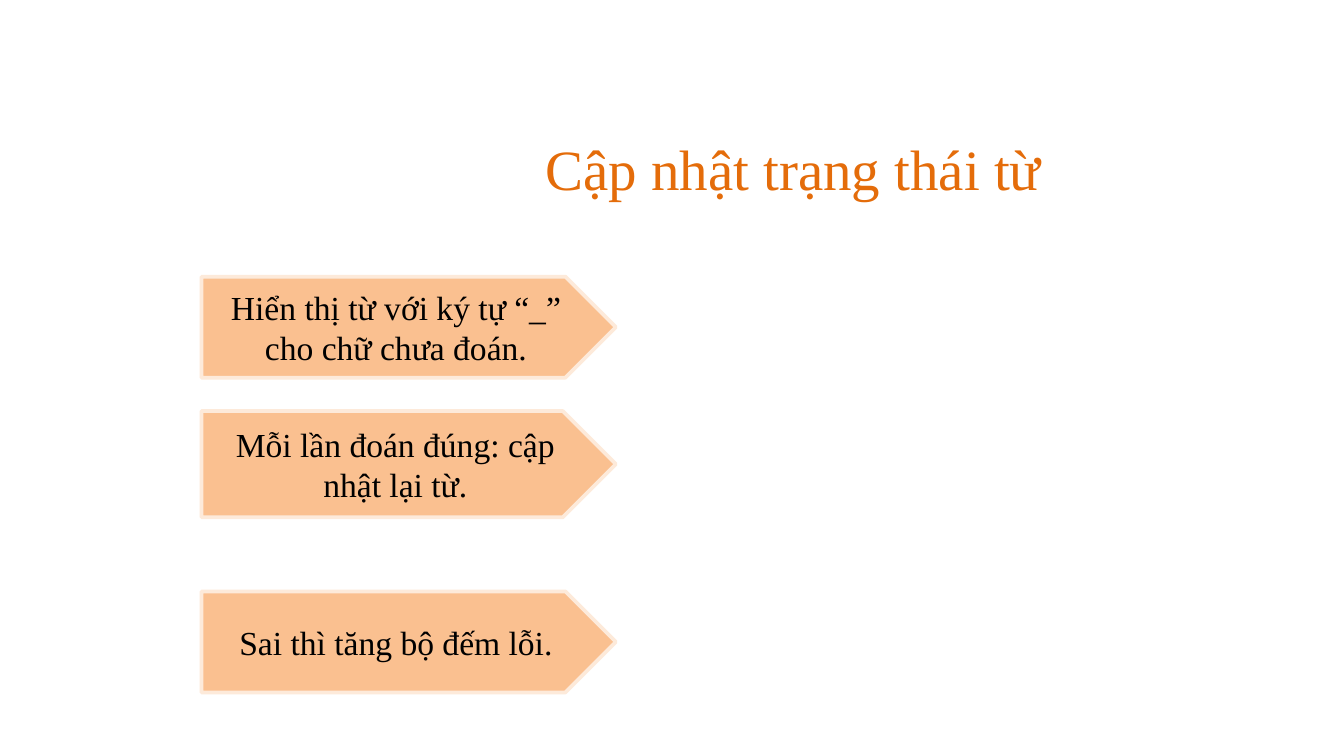
import pptx
import pptx.util
from pptx.dml.color import RGBColor
from pptx.enum.shapes import MSO_SHAPE
from pptx.enum.text import MSO_ANCHOR, PP_ALIGN

Cm = pptx.util.Cm
Pt = pptx.util.Pt

COLORS = {
    "title": "E46C0A",
    "text": "000000",
    "fill": "FAC090",
    "line": "FDEADA",
}
FONT = "Times New Roman"

ARROW_LEFT = 3.81
ARROW_WIDTH = 7.83
STEPS = [
    ("Hiển thị từ với ký tự “_” cho chữ chưa đoán.", 5.23, 1.91),
    ("Mỗi lần đoán đúng: cập nhật lại từ.", 7.77, 2.01),
    ("Sai thì tăng bộ đếm lỗi.", 11.18, 1.91),
]


def color(name):
    return RGBColor.from_string(COLORS[name])


def write_text(tf, text, size=18, fill="text", anchor=MSO_ANCHOR.MIDDLE):
    tf.word_wrap = True
    tf.vertical_anchor = anchor
    p = tf.paragraphs[0]
    p.alignment = PP_ALIGN.CENTER
    r = p.add_run()
    r.text = text
    r.font.name = FONT
    r.font.size = Pt(size)
    r.font.color.rgb = color(fill)


def add_title(s, text):
    sp = s.shapes.add_textbox(Cm(9.09), Cm(1.22), Cm(11.81), Cm(2.31))
    tf = sp.text_frame
    tf.margin_left = tf.margin_right = tf.margin_bottom = 0
    tf.margin_top = Cm(1.3)
    write_text(tf, text, size=30.5, fill="title", anchor=MSO_ANCHOR.TOP)


def add_step(s, text, top, height):
    sp = s.shapes.add_shape(
        MSO_SHAPE.PENTAGON, Cm(ARROW_LEFT), Cm(top), Cm(ARROW_WIDTH), Cm(height)
    )
    sp.shadow.inherit = False
    sp.fill.solid()
    sp.fill.fore_color.rgb = color("fill")
    sp.line.color.rgb = color("line")
    sp.line.width = Pt(2)
    write_text(sp.text_frame, text)


def main():
    prs = pptx.Presentation()
    prs.slide_width = Cm(25.4)
    prs.slide_height = Cm(14.29)
    s = prs.slides.add_slide(prs.slide_layouts[6])
    add_title(s, "Cập nhật trạng thái từ")
    for text, top, height in STEPS:
        add_step(s, text, top, height)
    prs.save("out.pptx")


if __name__ == "__main__":
    main()
